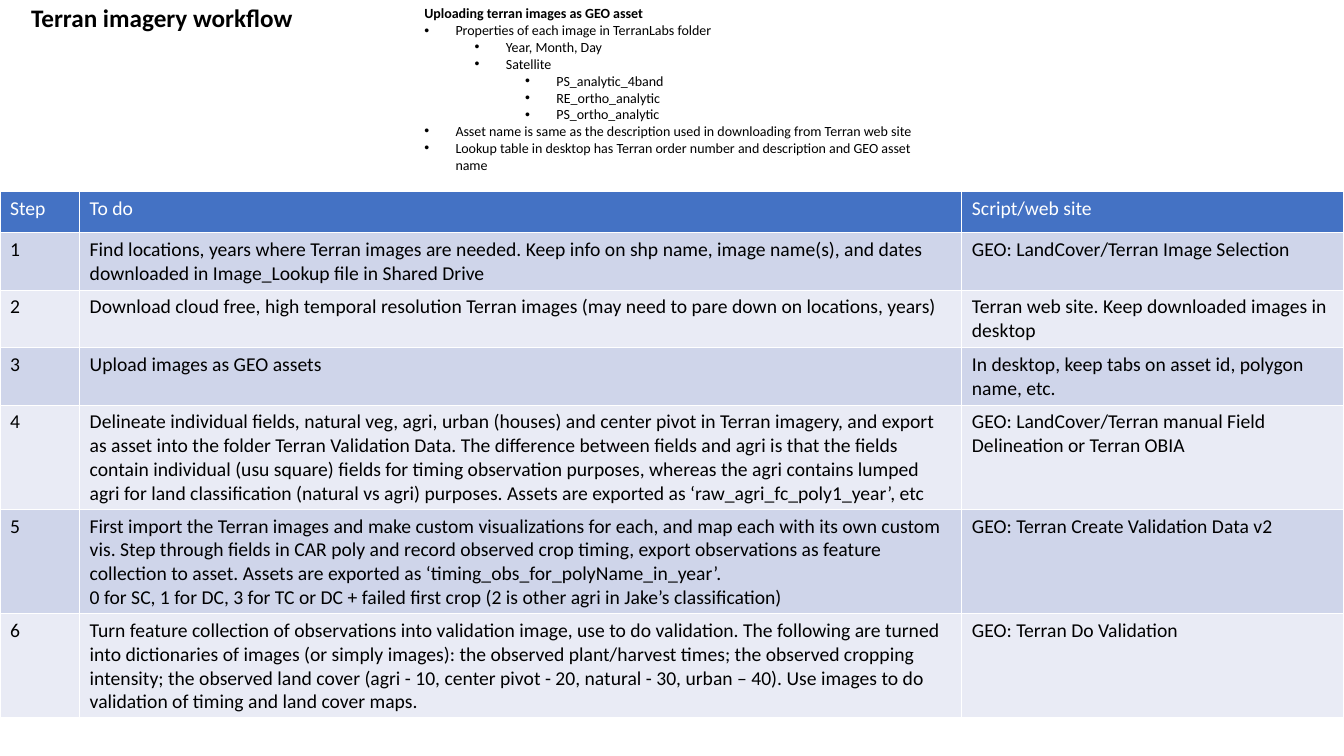
from lxml import etree
from pptx import Presentation
from pptx.dml.color import RGBColor
from pptx.enum.text import MSO_AUTO_SIZE
from pptx.oxml.ns import qn
from pptx.util import Inches, Pt

FIT_SHAPE = MSO_AUTO_SIZE.SHAPE_TO_FIT_TEXT
COLORS = {"text": "000000", "white": "FFFFFF", "header": "4472C4",
          "odd": "CFD5EA", "even": "E9EBF5"}
TITLE = {"size": Pt(18), "bold": True}
NOTE_HEAD = {"size": Pt(10), "bold": True}
NOTE_ITEM = {"size": Pt(10), "bold": False}
CELL = {"size": Pt(14), "bold": False}

NOTES = [
    (0, "Properties of each image in TerranLabs folder"),
    (1, "Year, Month, Day"),
    (1, "Satellite"),
    (2, "PS_analytic_4band"),
    (2, "RE_ortho_analytic"),
    (2, "PS_ortho_analytic"),
    (0, "Asset name is same as the description used in downloading from Terran web site"),
    (0, "Lookup table in desktop has Terran order number and description and GEO asset name"),
]
COL_WIDTHS = [0.79, 8.75, 3.79]
ROW_HEIGHTS = [0.41] + [0.57] * 3 + [1.03] * 3
STEPS = [
    ("Find locations, years where Terran images are needed. Keep info on shp name, "
     "image name(s), and dates downloaded in Image_Lookup file in Shared Drive",
     "GEO: LandCover/Terran Image Selection"),
    ("Download cloud free, high temporal resolution Terran images "
     "(may need to pare down on locations, years)",
     "Terran web site. Keep downloaded images in desktop"),
    ("Upload images as GEO assets",
     "In desktop, keep tabs on asset id, polygon name, etc."),
    ("Delineate individual fields, natural veg, agri, urban (houses) and center pivot in "
     "Terran imagery, and export as asset into the folder Terran Validation Data. The "
     "difference between fields and agri is that the fields contain individual (usu square) "
     "fields for timing observation purposes, whereas the agri contains lumped agri for land "
     "classification (natural vs agri) purposes. Assets are exported as "
     "‘raw_agri_fc_poly1_year’, etc",
     "GEO: LandCover/Terran manual Field Delineation or Terran OBIA"),
    ("First import the Terran images and make custom visualizations for each, and map each "
     "with its own custom vis. Step through fields in CAR poly and record observed crop "
     "timing, export observations as feature collection to asset. Assets are exported as "
     "‘timing_obs_for_polyName_in_year’.\n"
     "0 for SC, 1 for DC, 3 for TC or DC + failed first crop "
     "(2 is other agri in Jake’s classification)",
     "GEO: Terran Create Validation Data v2"),
    ("Turn feature collection of observations into validation image, use to do validation. "
     "The following are turned into dictionaries of images (or simply images): the observed "
     "plant/harvest times; the observed cropping intensity; the observed land cover "
     "(agri - 10, center pivot - 20, natural - 30, urban – 40). Use images to do validation "
     "of timing and land cover maps.",
     "GEO: Terran Do Validation"),
]


def rgb(name):
    """Return the named palette colour."""
    return RGBColor.from_string(COLORS[name])


def add_run(p, text, fmt, color="text"):
    """Add a formatted run to a paragraph."""
    r = p.add_run()
    r.text = text
    r.font.name = "Calibri"
    r.font.color.rgb = rgb(color)
    for key, value in fmt.items():
        setattr(r.font, key, value)


def add_textbox(s, x, y, w, h):
    """Add a wrapping text box and return its text frame."""
    tf = s.shapes.add_textbox(Inches(x), Inches(y), Inches(w), Inches(h)).text_frame
    tf.word_wrap = True
    tf.auto_size = FIT_SHAPE
    return tf


def add_title(s, x, y, w, h):
    """Place the slide title."""
    add_run(add_textbox(s, x, y, w, h).paragraphs[0], "Terran imagery workflow", TITLE)


def set_bullet(p, level):
    """Give a paragraph a bullet with a hanging indent for its level."""
    p.level = level
    pPr = p._p.get_or_add_pPr()
    pPr.set("marL", str(Inches(0.31 + 0.5 * level)))
    pPr.set("indent", str(Inches(-0.31)))
    etree.SubElement(pPr, qn("a:buFont"), typeface="Arial")
    etree.SubElement(pPr, qn("a:buChar"), char="•")


def add_notes(s, x, y, w, h):
    """Place the bulleted upload notes under their heading."""
    tf = add_textbox(s, x, y, w, h)
    add_run(tf.paragraphs[0], "Uploading terran images as GEO asset", NOTE_HEAD)
    for level, text in NOTES:
        p = tf.add_paragraph()
        set_bullet(p, level)
        add_run(p, text, NOTE_ITEM)


def set_borders(cell):
    """Draw thin white borders on all four sides of a cell."""
    tcPr = cell._tc.get_or_add_tcPr()
    for side in "LRTB":
        ln = etree.SubElement(tcPr, qn("a:ln" + side), w=str(Pt(1)))
        fill = etree.SubElement(ln, qn("a:solidFill"))
        etree.SubElement(fill, qn("a:srgbClr"), val=COLORS["white"])


def fill_cell(cell, row, text):
    """Write and style one table cell according to its row."""
    set_borders(cell)
    band = "header" if row == 0 else ("odd" if row % 2 else "even")
    cell.fill.solid()
    cell.fill.fore_color.rgb = rgb(band)
    tf = cell.text_frame
    for i, line in enumerate(text.split("\n")):
        p = tf.add_paragraph() if i else tf.paragraphs[0]
        add_run(p, line, CELL, "text" if row else "white")


def add_steps(s, x, y, w, h):
    """Place the table of workflow steps."""
    rows = [("Step", "To do", "Script/web site")]
    rows += [(str(n), *step) for n, step in enumerate(STEPS, 1)]
    table = s.shapes.add_table(len(rows), len(COL_WIDTHS), Inches(x), Inches(y),
                               Inches(w), Inches(h)).table
    for column, width in zip(table.columns, COL_WIDTHS):
        column.width = Inches(width)
    for i, (height, texts) in enumerate(zip(ROW_HEIGHTS, rows)):
        table.rows[i].height = Inches(height)
        for j, text in enumerate(texts):
            fill_cell(table.cell(i, j), i, text)


def main():
    """Build and save the slide."""
    prs = Presentation()
    prs.slide_width, prs.slide_height = Inches(13.33), Inches(7.5)
    s = prs.slides.add_slide(prs.slide_layouts[6])
    add_title(s, 0.21, -0.03, 12.91, 0.4)
    add_steps(s, 0, 1.9, 13.33, 5.21)
    add_notes(s, 4.11, 0, 5.17, 1.78)
    prs.save("out.pptx")


if __name__ == "__main__":
    main()
